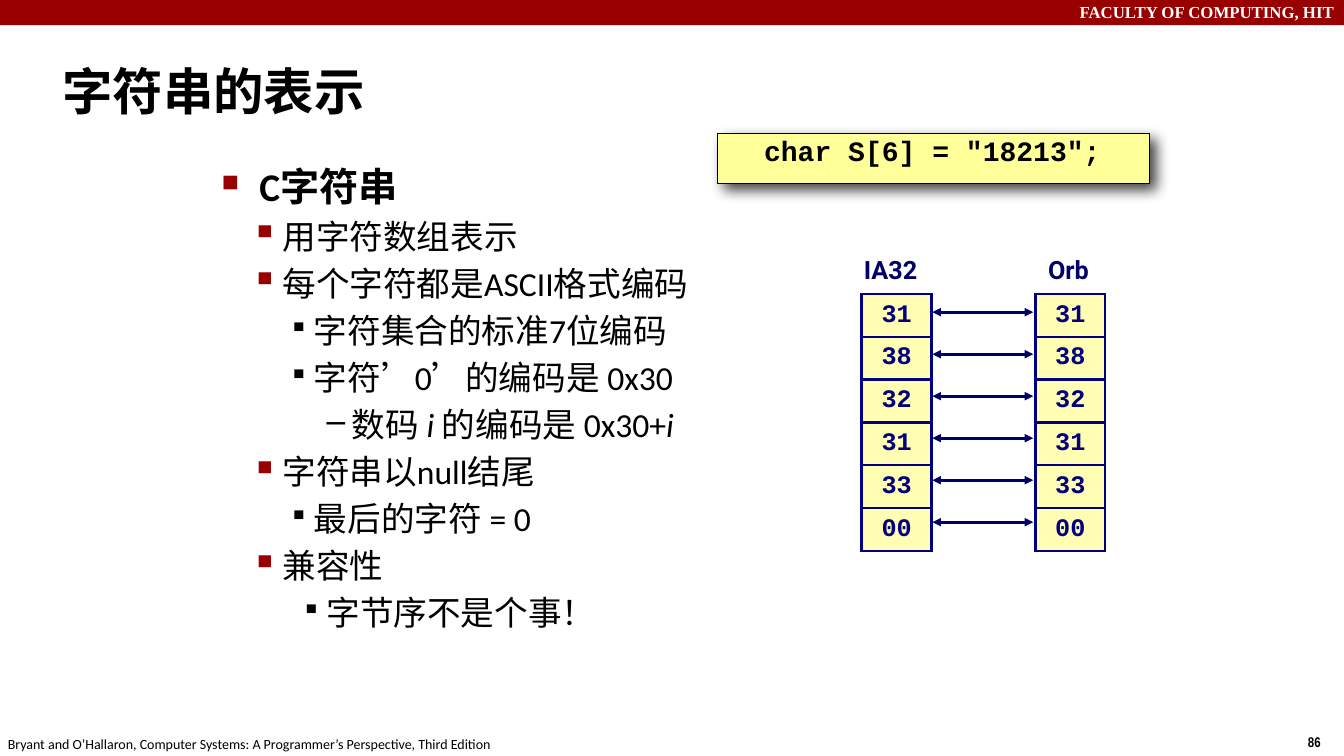
"""Build the slide on how C strings are stored on two machines."""
from lxml import etree
from pptx import Presentation
from pptx.enum import shapes, text
from pptx.oxml import ns
from pptx.util import Pt

COLORS = {
    "red": "990000", "white": "FFFFFF", "black": "000000", "note": "FFFF99",
    "cell": "FFFEB2", "border": "000080", "ink": "000066",
}
HEADER = "FACULTY OF COMPUTING, HIT"
PAGE_NUMBER = "86"
SOURCE = "Bryant and O’Hallaron, Computer Systems: A Programmer’s Perspective, Third Edition"
TITLE = "字符串的表示"
CODE = 'char S[6] = "18213";'
BYTES = ["31", "38", "32", "31", "33", "00"]
MACHINES = [("IA32", 615.5, 612.5, 50), ("Orb", 739.5, 741.5, 46)]

# level, spans of (words, italic)
OUTLINE = [
    ("topic", [("C字符串", False)]),
    ("point", [("用字符数组表示", False)]),
    ("point", [("每个字符都是ASCII格式编码", False)]),
    ("detail", [("字符集合的标准7位编码", False)]),
    ("detail", [("字符’0’的编码是 0x30", False)]),
    ("dash", [("数码 ", False), ("i ", True), ("的编码是 0x30+", False), ("i", True)]),
    ("point", [("字符串以null结尾", False)]),
    ("detail", [("最后的字符 = 0", False)]),
    ("point", [("兼容性", False)]),
    ("inset", [("字节序不是个事！", False)]),
]
LEVELS = {
    "topic": dict(level=0, margin=27, indent=-27, mark="■", percent=60, color="red"),
    "point": dict(level=1, margin=43.5, indent=-22.5, mark="▪", percent=110, color="red"),
    "detail": dict(level=2, margin=66, indent=-18, mark="▪", percent=80, color="black"),
    "dash": dict(level=3, margin=93, indent=-18, mark="–", percent=100, color="black"),
    "inset": dict(level=2, margin=75, indent=-18, mark="▪", percent=80, color="black"),
}
TABLE_TOP, ROW, COLUMN = 210, 30, 50
ARROW_TOP, ARROW_LEFT, ARROW_RIGHT = 223, 666, 738
CENTER, RIGHT = text.PP_ALIGN.CENTER, text.PP_ALIGN.RIGHT


def rgb(color_format, name):
    color_format.rgb = color_format.rgb.from_string(COLORS[name]) if color_format.type else None


def node(parent, tag, **attributes):
    values = {key: str(value) for key, value in attributes.items()}
    return etree.SubElement(parent, ns.qn("a:" + tag), values)


def paint(fill, name):
    fill.solid()
    fill.fore_color.rgb = RGB.from_string(COLORS[name])


def write(para, words, size=24, font="Calibri", color="black", bold=False, italic=False, align=None):
    span = para.add_run()
    span.text = words
    span.font.size, span.font.name = Pt(size), font
    span.font.bold, span.font.italic = bold, italic
    paint(span.font.fill, color)
    if align is not None:
        para.alignment = align


def set_insets(target, left, top, right, bottom):
    target.margin_left, target.margin_top = Pt(left), Pt(top)
    target.margin_right, target.margin_bottom = Pt(right), Pt(bottom)


def add_text(page, area, words, wrap=True, insets=(7.2, 3.6, 7.2, 3.6), middle=False, **style):
    frame = page.shapes.add_textbox(*map(Pt, area)).text_frame
    frame.word_wrap = wrap
    set_insets(frame, *insets)
    if middle:
        frame.vertical_anchor = text.MSO_ANCHOR.MIDDLE
    write(frame.paragraphs[0], words, **style)


def add_box(page, area, fill):
    box = page.shapes.add_shape(shapes.MSO_SHAPE.RECTANGLE, *map(Pt, area))
    box.shadow.inherit = False
    paint(box.fill, fill)
    box.line.fill.background()
    return box


def set_indent(para, margin, indent):
    properties = para._p.get_or_add_pPr()
    properties.set("marL", str(Pt(margin)))
    properties.set("indent", str(Pt(indent)))
    return properties


def add_code(page):
    box = add_box(page, (512.6, 95, 308.2, 36), "note")
    paint(box.line.fill, "black")
    box.line.width = Pt(0.5)
    effects = box._element.spPr.find(ns.qn("a:effectLst"))
    shadow = node(effects, "outerShdw", blurRad=Pt(10), dist=Pt(6), dir=45 * 60000,
                  algn="tl", rotWithShape=0)
    node(node(shadow, "srgbClr", val=COLORS["black"]), "alpha", val=75000)
    frame = box.text_frame
    frame.vertical_anchor = text.MSO_ANCHOR.TOP
    set_insets(frame, 2.2, 2.2, 5, 2.2)
    para = frame.paragraphs[0]
    set_indent(para, 31.7, -30.2)
    para.line_spacing, para.space_before = 0.95, Pt(11.5)
    write(para, CODE, size=20, font="Courier New", bold=True, align=CENTER)


def add_outline(page):
    frame = page.shapes.add_textbox(Pt(151.2), Pt(112.3), Pt(622), Pt(391.7)).text_frame
    frame.word_wrap = True
    for index, (kind, spans) in enumerate(OUTLINE):
        para = frame.add_paragraph() if index else frame.paragraphs[0]
        rule = LEVELS[kind]
        para.level = rule["level"]
        properties = set_indent(para, rule["margin"], rule["indent"])
        node(node(properties, "spcBef"), "spcPct", val=20000)
        node(node(properties, "buClr"), "srgbClr", val=COLORS[rule["color"]])
        node(properties, "buSzPct", val=rule["percent"] * 1000)
        node(properties, "buChar", char=rule["mark"])
        top = kind == "topic"
        for words, italic in spans:
            write(para, words, size=28 if top else 24, bold=top, italic=italic)


def add_arrow(page, top):
    arrow = page.shapes.add_connector(shapes.MSO_CONNECTOR.STRAIGHT, Pt(ARROW_LEFT), Pt(top),
                                      Pt(ARROW_RIGHT), Pt(top))
    paint(arrow.line.fill, "ink")
    arrow.line.width = Pt(2)
    line = arrow.line._get_or_add_ln()
    node(line, "headEnd", type="triangle")
    node(line, "tailEnd", type="triangle")
    node(arrow._element.spPr, "effectLst")


def add_bytes(page, left):
    table = page.shapes.add_table(len(BYTES), 1, Pt(left), Pt(TABLE_TOP), Pt(COLUMN),
                                  Pt(ROW * len(BYTES))).table
    table.first_row = table.horz_banding = False
    for index, value in enumerate(BYTES):
        table.rows[index].height = Pt(ROW)
        cell = table.cell(index, 0)
        cell.vertical_anchor = text.MSO_ANCHOR.MIDDLE
        set_insets(cell, 4.5, 4.5, 4.5, 4.5)
        for side in ("lnL", "lnR", "lnT", "lnB"):
            border = node(cell._tc.get_or_add_tcPr(), side, w=Pt(2))
            node(node(border, "solidFill"), "srgbClr", val=COLORS["border"])
        paint(cell.fill, "cell")
        write(cell.text_frame.paragraphs[0], value, size=18, font="Courier New",
              color="border", bold=True, align=CENTER)


def main():
    deck = Presentation()
    deck.slide_width, deck.slide_height = Pt(960), Pt(540)
    page = deck.slides.add_slide(deck.slide_layouts[6])
    add_box(page, (0, 0, 960, 18), "red")
    add_text(page, (0, -2, 960, 22), HEADER, size=12, font="Times New Roman", color="white",
             bold=True, align=RIGHT)
    add_text(page, (927.2, 520.5, 24.5, 19.5), PAGE_NUMBER, wrap=False, size=10,
             font="Arial Narrow", bold=True)
    add_text(page, (-1.5, 522, 366, 19.5), SOURCE, wrap=False, size=10)
    add_code(page)
    add_text(page, (37.5, 34.5, 922.5, 60), TITLE, middle=True, size=36, bold=True)
    add_outline(page)
    for name, _, left, width in MACHINES:
        add_text(page, (left, 177, width, 30), name, wrap=False, insets=(4.5, 4.5, 7.2, 4.5),
                 size=18, font="Roboto", color="ink", bold=True, align=CENTER)
    for index in range(len(BYTES)):
        add_arrow(page, ARROW_TOP + index * ROW)
    for _, left, _, _ in MACHINES:
        add_bytes(page, left)
    deck.save("out.pptx")


from pptx.dml.color import RGBColor as RGB

if __name__ == "__main__":
    main()
